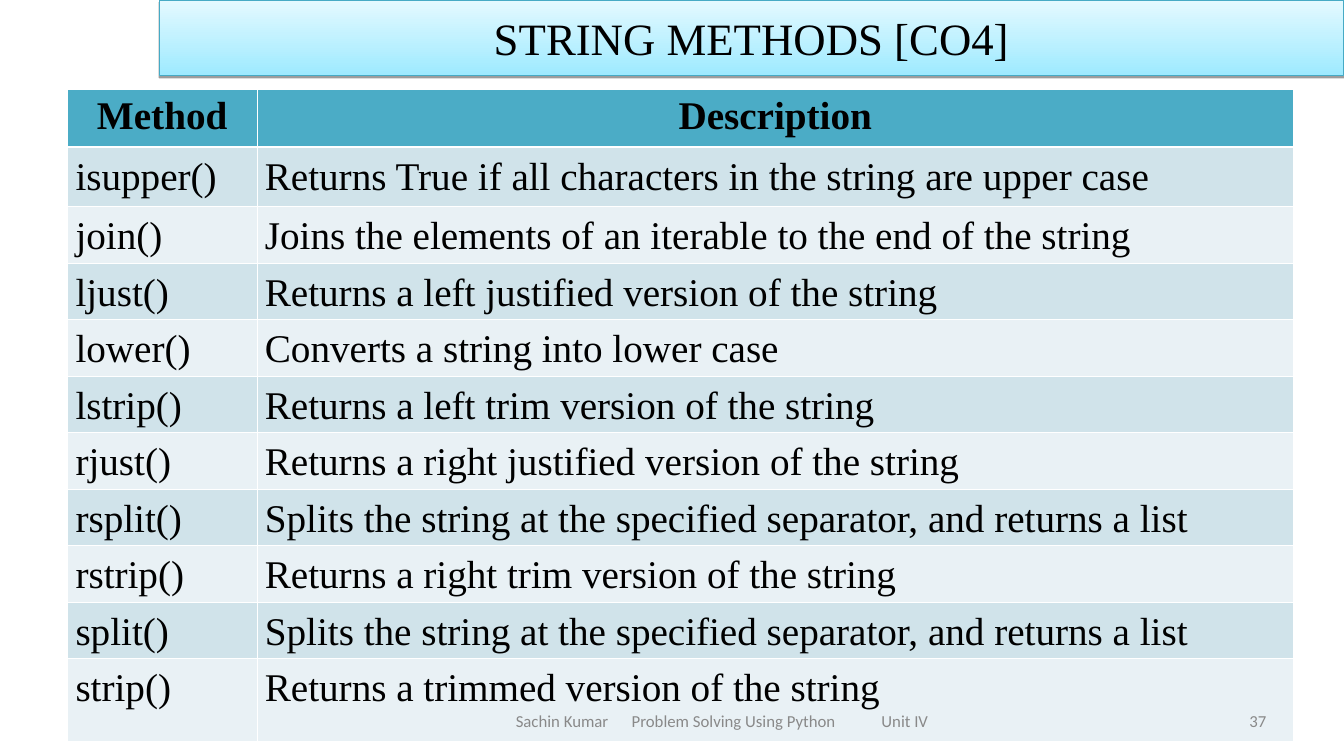
from lxml.etree import SubElement
from pptx import Presentation
from pptx.dml.color import RGBColor
from pptx.enum.shapes import MSO_SHAPE as Shape
from pptx.enum.text import MSO_ANCHOR as Anchor, PP_ALIGN as Align
from pptx.oxml import parse_xml
from pptx.oxml.ns import nsdecls, qn
from pptx.util import Inches, Pt

COLORS = {
    "text": "000000", "muted": "898989", "header": "4BACC6",
    "odd": "D0E3EA", "even": "E9F1F5", "border": "FFFFFF",
    "title_low": "9EEAFF", "title_high": "E4F9FF", "title_line": "46AAC5",
}
SERIF, SANS = "Times New Roman", "Calibri"
THIN, THICK = 0.45, 1.47

METHODS = [
    ("Method", "Description"),
    ("isupper()", "Returns True if all characters in the string are upper case"),
    ("join()", "Joins the elements of an iterable to the end of the string"),
    ("ljust()", "Returns a left justified version of the string"),
    ("lower()", "Converts a string into lower case"),
    ("lstrip()", "Returns a left trim version of the string"),
    ("rjust()", "Returns a right justified version of the string"),
    ("rsplit()", "Splits the string at the specified separator, and returns a list"),
    ("rstrip()", "Returns a right trim version of the string"),
    ("split()", "Splits the string at the specified separator, and returns a list"),
    ("strip()", "Returns a trimmed version of the string"),
]


class MethodSlide:
    """Draws styled elements on a grid of 100 columns by 100 rows."""

    def __init__(self, presentation):
        self.slide = presentation.slides.add_slide(presentation.slide_layouts[6])
        self.column = presentation.slide_width / 100
        self.row = presentation.slide_height / 100

    def box(self, left, top, width, height):
        return (int(left * self.column), int(top * self.row),
                int(width * self.column), int(height * self.row))

    def color(self, name):
        return RGBColor.from_string(COLORS[name])

    def add_text(self, paragraph, text, font, size, color, align, bold=False):
        paragraph.alignment = align
        run = paragraph.add_run()
        run.text = text
        run.font.name, run.font.size, run.font.bold = font, Pt(size), bold
        run.font.color.rgb = self.color(color)

    def title(self, text, *place):
        shape = self.slide.shapes.add_shape(Shape.RECTANGLE, *self.box(*place))
        shape.fill.gradient()
        shape.fill.gradient_angle = 90
        for stop, name in zip(shape.fill.gradient_stops, ("title_low", "title_high")):
            stop.color.rgb = self.color(name)
        shape.line.color.rgb = self.color("title_line")
        shape.line.width = Pt(0.75)
        shape.shadow.inherit = False
        effects = shape._element.spPr.find(qn("a:effectLst"))
        effects.append(parse_xml(
            f'<a:outerShdw {nsdecls("a")} blurRad="0" dist="{Pt(1.6)}" dir="5400000" '
            'rotWithShape="0"><a:srgbClr val="000000"><a:alpha val="38000"/>'
            '</a:srgbClr></a:outerShdw>'))
        shape.text_frame.vertical_anchor = Anchor.MIDDLE
        self.add_text(shape.text_frame.paragraphs[0], text, SERIF, 32, "text", Align.CENTER)

    def footer(self, text, *place, align=Align.LEFT, inset=0.1, tabs=()):
        frame = self.slide.shapes.add_textbox(*self.box(*place)).text_frame
        frame.word_wrap = True
        frame.vertical_anchor = Anchor.MIDDLE
        frame.margin_left = Inches(inset)
        paragraph = frame.paragraphs[0]
        if tabs:
            stops = SubElement(paragraph._p.get_or_add_pPr(), qn("a:tabLst"))
            for position in tabs:
                SubElement(stops, qn("a:tab"), pos=str(Inches(position)), algn="l")
        self.add_text(paragraph, text, SANS, 12, "muted", align)

    def borders(self, cell, top, bottom):
        properties = cell._tc.get_or_add_tcPr()
        for side, width in zip("LRTB", (THIN, THIN, top, bottom)):
            line = SubElement(properties, qn(f"a:ln{side}"), w=str(Pt(width)))
            fill = SubElement(line, qn("a:solidFill"))
            SubElement(fill, qn("a:srgbClr"), val=COLORS["border"])

    def table(self, records, place, widths, heights):
        table = self.slide.shapes.add_table(
            len(records), len(widths), *self.box(*place)).table
        for column, width in zip(table.columns, widths):
            column.width = int(width * self.column)
        for index, (record, height) in enumerate(zip(records, heights)):
            table.rows[index].height = int(height * self.row)
            for cell, text in zip(table.rows[index].cells, record):
                self.cell(cell, text, index)

    def cell(self, cell, text, index):
        header = index == 0
        self.borders(cell, THICK if index == 1 else THIN, THICK if header else THIN)
        cell.fill.solid()
        band = "odd" if index % 2 else "even"
        cell.fill.fore_color.rgb = self.color("header" if header else band)
        cell.margin_left = cell.margin_right = Inches(0.1 if header else 0.08)
        paragraph = cell.text_frame.paragraphs[0]
        paragraph.line_spacing = 1.0 if header else 1.07
        align = Align.CENTER if header else Align.LEFT
        self.add_text(paragraph, text, SERIF, 28, "text", align, header)


def main():
    presentation = Presentation()
    presentation.slide_width, presentation.slide_height = Inches(13.34), Inches(7.5)
    page = MethodSlide(presentation)
    page.table(METHODS, (5.02, 11.87, 91.23, 79.73), (14.09, 77.14),
               [7.6, 7.87] + [6.67] * 8 + [10.93])
    page.footer("37", 71.66, 92.67, 23.31, 5.33, align=Align.RIGHT)
    page.title("STRING METHODS [CO4]", 11.84, 0, 88.16, 10)
    page.footer("Sachin Kumar\tProblem Solving Using Python\tUnit IV",
                33.13, 92.67, 41.23, 5.33, inset=0.7, tabs=(1.15, 3.63))
    presentation.save("out.pptx")


if __name__ == "__main__":
    main()
